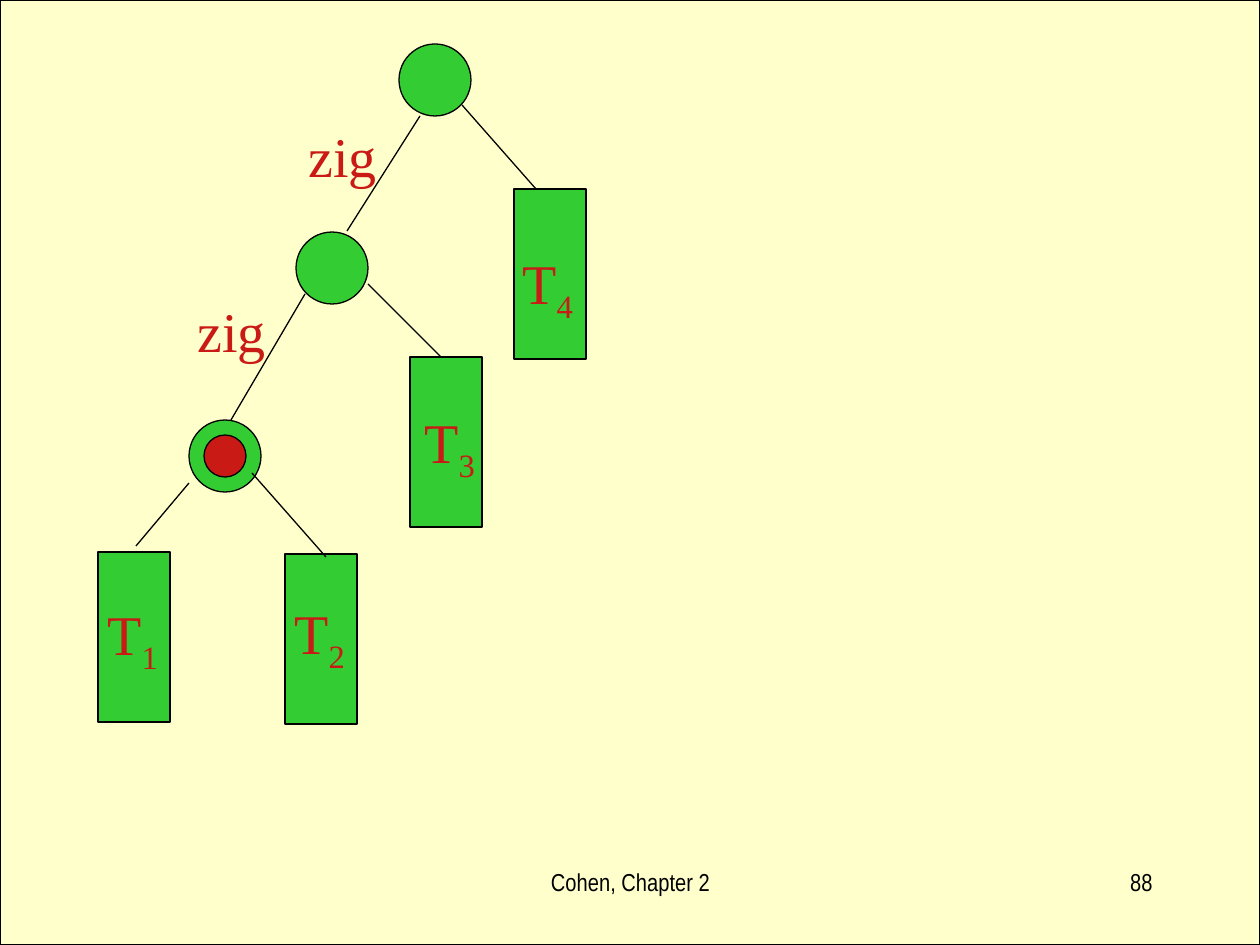
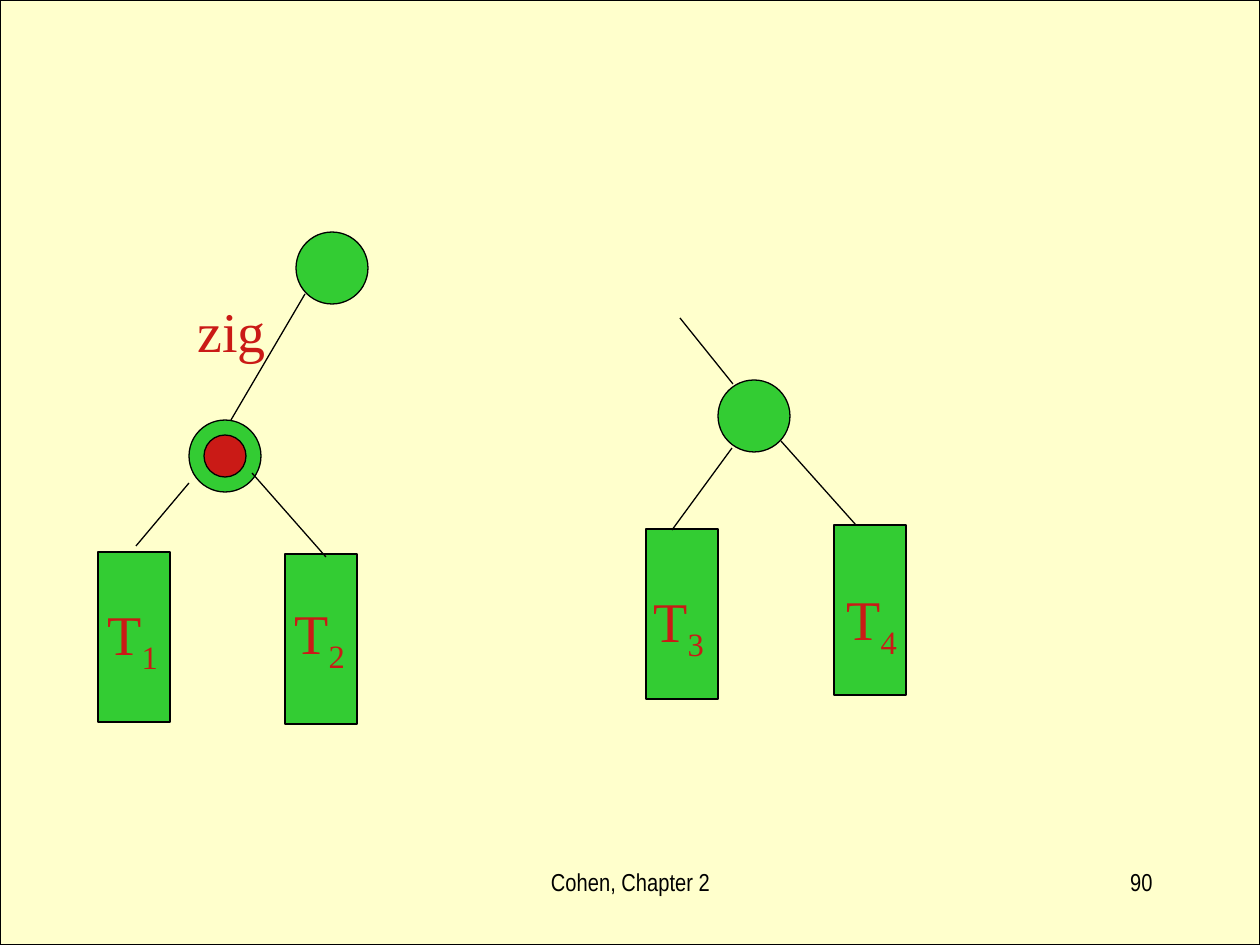
from typing import NamedTuple

import pptx
import pptx.dml.color
import pptx.enum.shapes
import pptx.enum.text
import pptx.util
from lxml import etree

PX_PER_INCH = 126
SLIDE_W, SLIDE_H = 1260, 945
CREAM, GREEN, RED, BLACK = "FFFFCC", "33CC33", "CA1A16", "000000"
SERIF, NARROW = "Times New Roman", "Arial Narrow"
NODE = 72
PIN = 42
SUBTREE_H = 170
OVAL = pptx.enum.shapes.MSO_SHAPE.OVAL
RECTANGLE = pptx.enum.shapes.MSO_SHAPE.RECTANGLE
ALIGN = pptx.enum.text.PP_ALIGN


class Node(NamedTuple):
    x: int
    y: int
    accessed: bool = False


class Subtree(NamedTuple):
    index: str
    x: int
    y: int
    label_x: int
    label_y: int


class Edge(NamedTuple):
    x1: int
    y1: int
    x2: int
    y2: int


class Step(NamedTuple):
    x: int
    y: int


class Diagram(NamedTuple):
    number: str
    nodes: list[Node]
    subtrees: list[Subtree]
    edges: list[Edge]
    steps: list[Step]


SHARED = Diagram(
    "",
    [Node(296, 232), Node(189, 420, accessed=True)],
    [Subtree("1", 98, 552, 95, 588), Subtree("2", 285, 554, 282, 587)],
    [Edge(305, 294, 231, 420), Edge(136, 546, 189, 483), Edge(252, 473, 326, 557)],
    [Step(185, 284)],
)

BEFORE = Diagram(
    "88",
    [Node(399, 44)],
    [Subtree("3", 410, 357, 412, 396), Subtree("4", 514, 189, 510, 237)],
    [Edge(420, 116, 347, 231), Edge(368, 284, 441, 357), Edge(462, 105, 536, 189)],
    [Step(296, 110)],
)

AFTER = Diagram(
    "90",
    [Node(718, 380)],
    [Subtree("3", 646, 529, 641, 575), Subtree("4", 834, 525, 834, 573)],
    [Edge(781, 441, 856, 525), Edge(733, 384, 680, 318), Edge(732, 448, 672, 530)],
    [],
)


def px(length: int) -> int:
    return pptx.util.Emu(round(length * 914400 / PX_PER_INCH))


def color(value: str) -> pptx.dml.color.RGBColor:
    return pptx.dml.color.RGBColor.from_string(value)


def outline(line) -> None:
    line.color.rgb = color(BLACK)
    line.width = pptx.util.Pt(0.75)


def draw_shape(page, kind, x: int, y: int, width: int, height: int, fill: str) -> None:
    shape = page.shapes.add_shape(kind, px(x), px(y), px(width), px(height))
    shape.shadow.inherit = False
    shape.fill.solid()
    shape.fill.fore_color.rgb = color(fill)
    outline(shape.line)


def draw_text(page, text: str, x: int, y: int, width: int, height: int, *,
              subscript: str = "", size: int = 32, font: str = SERIF,
              ink: str = RED, align=ALIGN.LEFT, top: int = 12) -> None:
    box = page.shapes.add_textbox(px(x), px(y), px(width), px(height))
    frame = box.text_frame
    frame.word_wrap = True
    frame.margin_top = px(top)
    para = frame.paragraphs[0]
    para.alignment = align
    for part in filter(None, (text, subscript)):
        span = para.add_run()
        span.text = part
        span.font.size = pptx.util.Pt(size)
        span.font.name = font
        span.font.color.rgb = color(ink)
    if subscript:
        span._r.get_or_add_rPr().set("baseline", "-25000")


def draw_node(page, node: Node) -> None:
    draw_shape(page, OVAL, node.x, node.y, NODE, NODE, GREEN)
    if node.accessed:
        inset = (NODE - PIN) // 2
        draw_shape(page, OVAL, node.x + inset, node.y + inset, PIN, PIN, RED)


def draw_edge(page, edge: Edge) -> None:
    line = page.shapes.add_connector(
        pptx.enum.shapes.MSO_CONNECTOR.STRAIGHT, *map(px, edge))
    outline(line.line)
    etree.SubElement(line._element.spPr, pptx.oxml.ns.qn("a:effectLst"))


def draw_page(deck, diagram: Diagram) -> None:
    page = deck.slides.add_slide(deck.slide_layouts[6])
    draw_shape(page, RECTANGLE, 0, 0, SLIDE_W, SLIDE_H, CREAM)
    subtrees = SHARED.subtrees + diagram.subtrees
    for node in SHARED.nodes + diagram.nodes:
        draw_node(page, node)
    for subtree in subtrees:
        draw_shape(page, RECTANGLE, subtree.x, subtree.y, NODE, SUBTREE_H, GREEN)
    for edge in SHARED.edges + diagram.edges:
        draw_edge(page, edge)
    for step in SHARED.steps + diagram.steps:
        draw_text(page, "zig", step.x, step.y, 100, 81)
    for subtree in subtrees:
        draw_text(page, "T", subtree.label_x, subtree.label_y, 91, 89,
                  subscript=subtree.index)
    footer = {"size": 14, "font": NARROW, "ink": BLACK, "top": 6}
    draw_text(page, "Cohen, Chapter 2", 431, 861, 399, 63, align=ALIGN.CENTER, **footer)
    draw_text(page, diagram.number, 903, 861, 262, 63, align=ALIGN.RIGHT, **footer)


def main() -> None:
    deck = pptx.Presentation()
    deck.slide_width, deck.slide_height = px(SLIDE_W), px(SLIDE_H)
    for diagram in (BEFORE, AFTER):
        draw_page(deck, diagram)
    deck.save("out.pptx")


if __name__ == "__main__":
    main()
